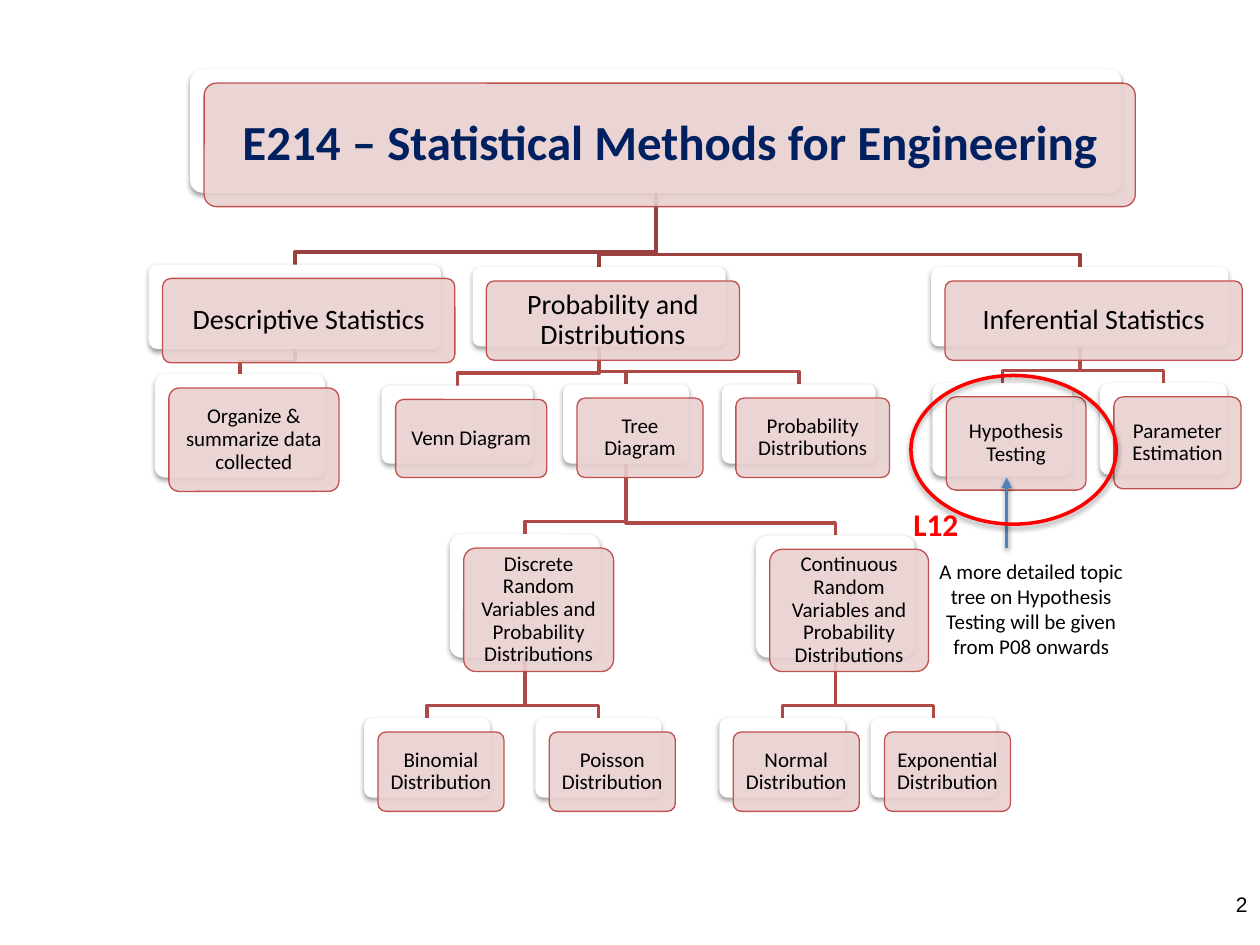
from typing import NamedTuple

from lxml.etree import SubElement
from pptx import Presentation
from pptx.dml.color import RGBColor
from pptx.enum.shapes import MSO_CONNECTOR, MSO_SHAPE
from pptx.enum.text import MSO_ANCHOR, MSO_AUTO_SIZE, PP_ALIGN
from pptx.oxml.ns import qn
from pptx.util import Inches, Pt

CARD_OFFSET = 0.11   # shift of the tinted card from the white one
BEND_GAP = 0.1       # height of the last connector leg above a child
TITLE_INSET = 0.03
RED = "FF0000"


class Node(NamedTuple):
    text: str
    left: float
    top: float
    width: float
    height: float
    size: int = 12
    children: tuple = ()

    @property
    def center(self):
        return self.left + self.width / 2


DISCRETE = Node("Discrete Random Variables and Probability Distributions", 3.57, 4.24, 1.19, 0.98, children=(
    Node("Binomial Distribution", 2.89, 5.7, 1, 0.63),
    Node("Poisson Distribution", 4.25, 5.7, 1, 0.63),
))
CONTINUOUS = Node("Continuous Random Variables and Probability Distributions", 6, 4.25, 1.26, 0.97, children=(
    Node("Normal Distribution", 5.71, 5.7, 1, 0.63),
    Node("Exponential Distribution", 6.91, 5.7, 1, 0.63),
))
DESCRIPTIVE = Node("Descriptive Statistics", 1.18, 2.1, 2.32, 0.67, 16, (
    Node("Organize & summarize data collected", 1.23, 2.97, 1.35, 0.82),
))
PROBABILITY = Node("Probability and Distributions", 3.75, 2.12, 2.01, 0.63, 16, (
    Node("Venn Diagram", 3.03, 3.06, 1.2, 0.62),
    Node("Tree Diagram", 4.47, 3.05, 1, 0.63, children=(DISCRETE, CONTINUOUS)),
    Node("Probability Distributions", 5.73, 3.05, 1.22, 0.63),
))
INFERENTIAL = Node("Inferential Statistics", 7.39, 2.12, 2.36, 0.63, 16, (
    Node("Hypothesis Testing", 7.4, 3.04, 1.11, 0.74),
    Node("Parameter Estimation", 8.73, 3.04, 1.01, 0.73),
))
ROOT = Node("E214 – Statistical Methods for Engineering", 1.51, 0.55, 7.39, 0.98, 28,
            (DESCRIPTIVE, PROBABILITY, INFERENTIAL))


def color(hex_string):
    return RGBColor.from_string(hex_string)


def box(*lengths):
    return [Inches(length) for length in lengths]


def set_line(shape, hex_string, width):
    shape.line.color.rgb = color(hex_string)
    shape.line.width = Pt(width)


def add_shadow(shape, distance=1.6, opacity=38):
    properties = shape.element.spPr
    for effects in properties.findall(qn("a:effectLst")):
        properties.remove(effects)
    effects = SubElement(properties, qn("a:effectLst"))
    shadow = SubElement(effects, qn("a:outerShdw"), blurRad=str(Pt(3.1)),
                        dist=str(Pt(distance)), dir="5400000", rotWithShape="0")
    shade = SubElement(shadow, qn("a:srgbClr"), val="000000")
    SubElement(shade, qn("a:alpha"), val=str(opacity * 1000))


def write(shape, text, size, hex_string="000000", bold=False,
          align=PP_ALIGN.CENTER, font_name="Calibri"):
    frame = shape.text_frame
    frame.word_wrap = True
    frame.text = text
    paragraph = frame.paragraphs[0]
    paragraph.alignment = align
    font = paragraph.runs[0].font
    font.name, font.size, font.bold = font_name, Pt(size), bold
    font.color.rgb = color(hex_string)
    return frame


def write_label(shape, node, inset, **style):
    frame = write(shape, node.text, node.size, **style)
    frame.auto_size = MSO_AUTO_SIZE.NONE
    frame.vertical_anchor = MSO_ANCHOR.MIDDLE
    frame.paragraphs[0].line_spacing = 0.9
    frame.margin_left = frame.margin_right = Inches(inset)
    frame.margin_top = frame.margin_bottom = Inches(inset)


def add_text_box(slide, bounds, text, size, **style):
    write(slide.shapes.add_textbox(*box(*bounds)), text, size, **style)


def add_branches(slide, node):
    """Draw the elbow connectors below a node and all its descendants."""
    for child in node.children:
        add_branches(slide, child)
        bend = child.top - BEND_GAP
        start = box(node.center, node.top + node.height)
        builder = slide.shapes.build_freeform(*start)
        builder.add_line_segments(
            [box(node.center, bend), box(child.center, bend), box(child.center, child.top)],
            close=False)
        branch = builder.convert_to_shape()
        branch.fill.background()
        branch.shadow.inherit = False
        set_line(branch, "9A403E" if node is ROOT else "AE4946", 2)


def add_card(slide, left, top, width, height, fill):
    card = slide.shapes.add_shape(MSO_SHAPE.ROUNDED_RECTANGLE, *box(left, top, width, height))
    card.adjustments[0] = 0.1
    card.fill.solid()
    card.fill.fore_color.rgb = color(fill)
    card.shadow.inherit = False
    return card


def add_node(slide, node):
    """Draw a node as two stacked cards, then its descendants."""
    left, top = node.left + CARD_OFFSET, node.top + CARD_OFFSET
    back = add_card(slide, node.left, node.top, node.width, node.height, "FFFFFF")
    back.line.fill.background()
    add_shadow(back)

    front = add_card(slide, left, top, node.width, node.height, "E8D0D0")
    tint = front.element.spPr.find(f"{qn('a:solidFill')}/{qn('a:srgbClr')}")
    SubElement(tint, qn("a:alpha"), val="90000")
    set_line(front, "C0504D", 0.75)

    if node is ROOT:
        # The title placeholder is raised above its cards
        title = slide.shapes.title
        title.left, title.top, title.width, title.height = box(
            left + TITLE_INSET, top + TITLE_INSET,
            node.width - 2 * TITLE_INSET, node.height - 2 * TITLE_INSET)
        write_label(title, node, 0.12, hex_string="002060", bold=True)
        title.element.getparent().append(title.element)
    else:
        write_label(front, node, 0.07 if node.size == 16 else 0.05)

    for child in node.children:
        add_node(slide, child)


def add_lesson_marker(slide, left, top):
    """Note, arrow and ellipse that point out the current lesson."""
    add_text_box(slide, (left + 0.15, top + 1.4, 1.77, 0.91),
                 "A more detailed topic tree on Hypothesis Testing will be given from P08 onwards", 12)

    arrow = slide.shapes.add_connector(
        MSO_CONNECTOR.STRAIGHT, *box(left + 0.84, top + 1.37, left + 0.84, top + 0.81))
    set_line(arrow, "4F81BD", 2)
    SubElement(arrow.line._get_or_add_ln(), qn("a:tailEnd"), type="triangle")
    add_shadow(arrow)

    ellipse = slide.shapes.add_shape(MSO_SHAPE.OVAL, *box(left + 0.08, top, 1.63, 1.18))
    ellipse.fill.background()
    set_line(ellipse, RED, 2)
    add_shadow(ellipse, 1.8, 35)
    add_text_box(slide, (left, top + 0.98, 0.73, 0.4), "L12", 18,
                 hex_string=RED, bold=True, align=PP_ALIGN.LEFT)


def main():
    presentation = Presentation()
    presentation.slide_width, presentation.slide_height = box(10, 7.5)
    slide = presentation.slides.add_slide(presentation.slide_layouts[5])
    # Topic tree
    add_branches(slide, ROOT)
    add_node(slide, ROOT)
    add_lesson_marker(slide, 7.15, 2.98)
    # Page number
    add_text_box(slide, (9.55, 7.03, 0.45, 0.47), "2", 12,
                 align=PP_ALIGN.RIGHT, font_name="Arial")
    presentation.save("out.pptx")


if __name__ == "__main__":
    main()
